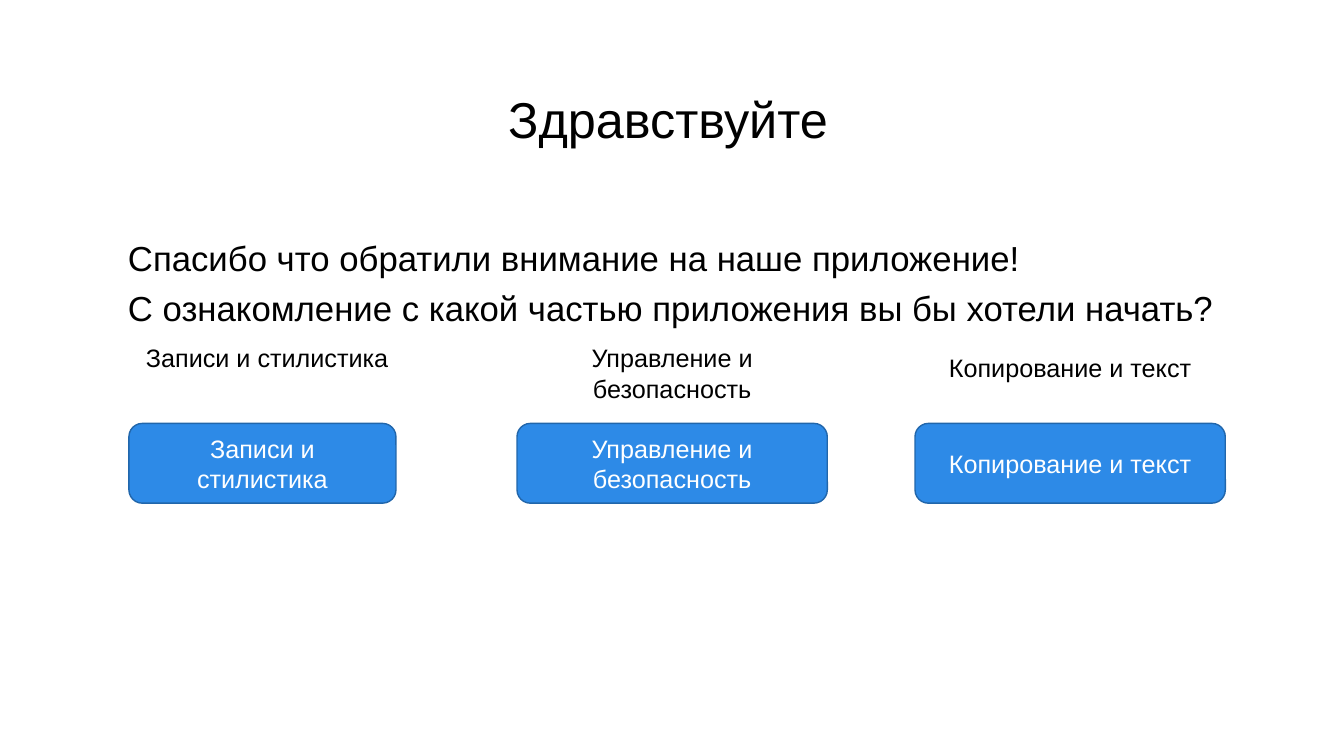
from pptx import Presentation
from pptx.dml.color import RGBColor
from pptx.enum import shapes, text
from pptx.oxml import xmlchemy as xml
from pptx.util import Cm, Pt

COLORS = {"text": "000000", "button": "2D8AE7", "border": "2166AB", "light": "FFFFFF"}
LEFT, CENTER = text.PP_ALIGN.LEFT, text.PP_ALIGN.CENTER
BUTTON_TOP, BUTTON_HEIGHT = 10.67, 2.01

# caption, button left and width, label left, top and width, label alignment
SECTIONS = [
    ("Записи и стилистика", (3.25, 6.73), (3.43, 8.51, 7.19), LEFT),
    ("Управление и безопасность", (13.03, 7.82), (13.03, 8.51, 7.82), CENTER),
    ("Копирование и текст", (23.06, 7.82), (23.06, 8.76, 7.82), CENTER),
]


def color(name):
    return RGBColor.from_string(COLORS[name])


def apply_format(target, values):
    for name, value in values.items():
        setattr(target, name, value)


def place(shape, left, top, width, height):
    apply_format(shape, {"left": Cm(left), "top": Cm(top),
                         "width": Cm(width), "height": Cm(height)})


def write(shape, lines, size, color_name="text", align=LEFT,
          anchor=text.MSO_ANCHOR.TOP, space_before=0):
    frame = shape.text_frame
    frame.text = "\n".join(lines)
    apply_format(frame, {"word_wrap": True, "vertical_anchor": anchor,
                         "auto_size": text.MSO_AUTO_SIZE.NONE})
    for paragraph in frame.paragraphs:
        apply_format(paragraph, {"alignment": align, "space_before": Pt(space_before)})
        apply_format(paragraph.font, {"name": "Arial", "size": Pt(size)})
        paragraph.font.color.rgb = color(color_name)


def remove_bullets(shape):
    for paragraph in shape.text_frame.paragraphs:
        properties = paragraph._p.get_or_add_pPr()
        properties.set("marL", "0")
        properties.set("indent", "0")
        bullet = xml.OxmlElement("a:buNone")
        properties.insert_element_before(bullet, "a:tabLst", "a:defRPr", "a:extLst")


def add_label(slide, caption, left, top, width, align):
    label = slide.shapes.add_textbox(Cm(left), Cm(top), Cm(width), Cm(1.02))
    write(label, [caption], 18, align=align)
    label.text_frame.auto_size = text.MSO_AUTO_SIZE.SHAPE_TO_FIT_TEXT


def add_button(slide, caption, left, width):
    button = slide.shapes.add_shape(shapes.MSO_SHAPE.ROUNDED_RECTANGLE, Cm(left),
                                    Cm(BUTTON_TOP), Cm(width), Cm(BUTTON_HEIGHT))
    button.shadow.inherit = False
    button.fill.solid()
    button.fill.fore_color.rgb = color("button")
    button.line.color.rgb = color("border")
    button.line.width = Pt(1)
    write(button, [caption], 18, "light", CENTER, text.MSO_ANCHOR.MIDDLE)


def main():
    presentation = Presentation()
    apply_format(presentation, {"slide_width": Cm(33.87), "slide_height": Cm(19.05)})
    slide = presentation.slides.add_slide(presentation.slide_layouts[1])

    title, body = slide.placeholders
    place(title, 12.55, 2.16, 30.48, 1.63)
    write(title, ["Здравствуйте"], 36, anchor=text.MSO_ANCHOR.MIDDLE)

    place(body, 2.97, 5.84, 27.94, 2.01)
    write(body, ["Спасибо что обратили внимание на наше приложение!",
                 "С ознакомление с какой частью приложения вы бы хотели начать?"],
          24.8, space_before=6.2)
    remove_bullets(body)

    for caption, button_span, label_span, align in SECTIONS:
        add_label(slide, caption, *label_span, align)
        add_button(slide, caption, *button_span)

    presentation.save("out.pptx")


if __name__ == "__main__":
    main()
